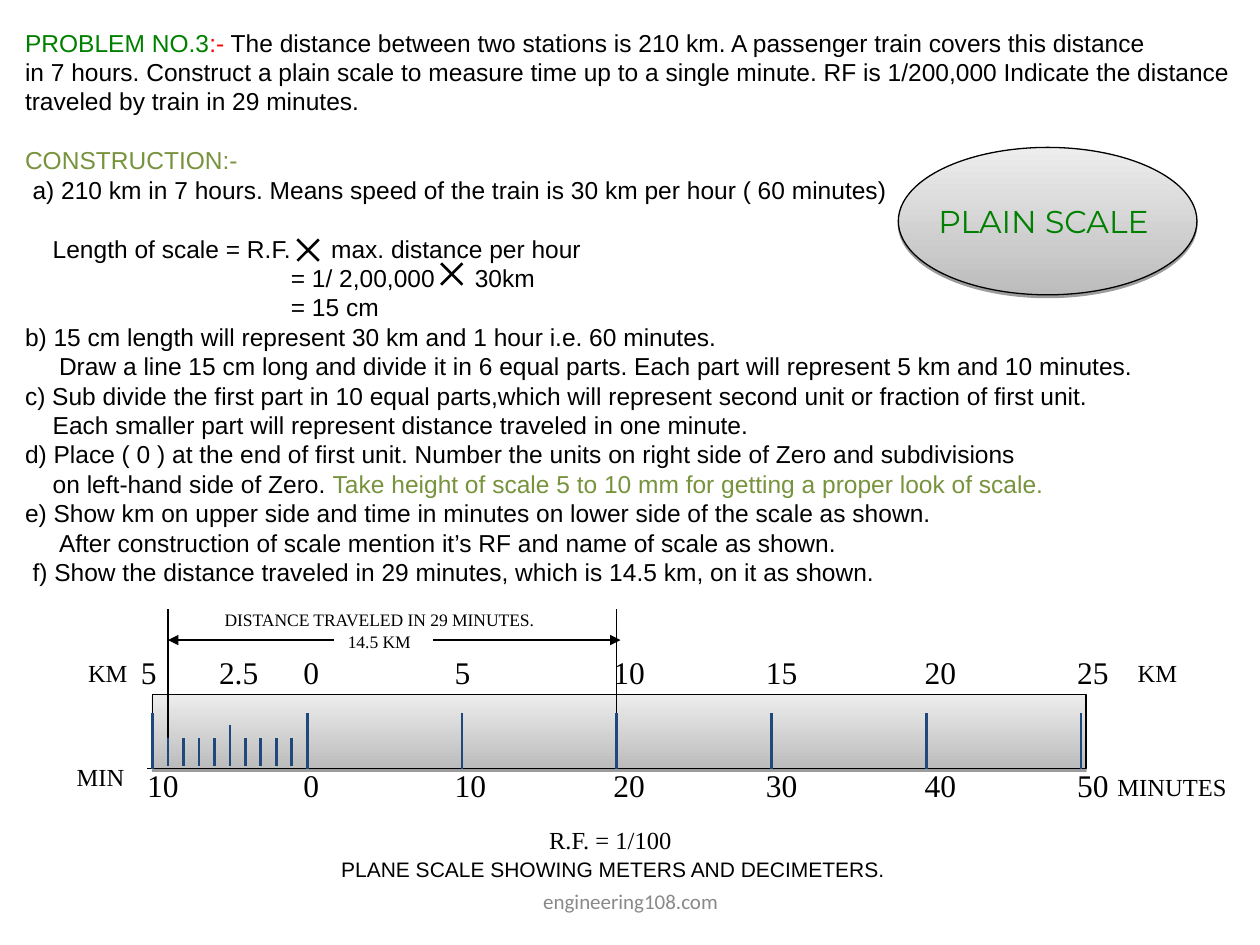
import collections

import pptx
import pptx.dml.color
import pptx.enum.shapes
import pptx.enum.text
import pptx.oxml
import pptx.oxml.ns
import pptx.util
from pptx.util import Inches

Box = collections.namedtuple("Box", "left top width height")
Line = collections.namedtuple("Line", "runs indent gap", defaults=(0, False))

BLACK = pptx.dml.color.RGBColor(0x00, 0x00, 0x00)
GREEN = pptx.dml.color.RGBColor(0x00, 0x80, 0x00)
RED = pptx.dml.color.RGBColor(0xFF, 0x00, 0x00)
OLIVE = pptx.dml.color.RGBColor(0x77, 0x93, 0x3C)
NAVY = pptx.dml.color.RGBColor(0x1F, 0x49, 0x7D)
GREY = pptx.dml.color.RGBColor(0x89, 0x89, 0x89)
SILVER = pptx.dml.color.RGBColor(0xBC, 0xBC, 0xBC)
PALE = pptx.dml.color.RGBColor(0xED, 0xED, 0xED)

SERIF = "Times New Roman"
LEFT = pptx.enum.text.PP_ALIGN.LEFT
CENTER = pptx.enum.text.PP_ALIGN.CENTER
MIDDLE = pptx.enum.text.MSO_ANCHOR.MIDDLE
LINE_PITCH = pptx.util.Pt(16.83)
EQUALS_INDENT = 2.11

PROBLEM_LINES = [
    Line([("PROBLEM NO.3", GREEN), (":-", RED),
          (" The distance between two stations is 210 km. A passenger train covers this distance", BLACK)]),
    Line("in 7 hours. Construct a plain scale to measure time up to a single minute. "
         "RF is 1/200,000 Indicate the distance"),
    Line("traveled by train in 29 minutes."),
    Line([("CONSTRUCTION:-", OLIVE)], gap=True),
    Line("a) 210 km in 7 hours. Means speed of the train is 30 km per hour ( 60 minutes)", 0.06),
    Line("Length of scale = R.F.", 0.22, gap=True),
    Line("= 1/ 2,00,000", EQUALS_INDENT),
    Line("= 15 cm", EQUALS_INDENT),
    Line("b) 15 cm length will represent 30 km and 1 hour i.e. 60 minutes."),
    Line("Draw a line 15 cm long and divide it in 6 equal parts. "
         "Each part will represent 5 km and 10 minutes.", 0.27),
    Line("c) Sub divide the first part in 10 equal parts,which will represent "
         "second unit or fraction of first unit."),
    Line("Each smaller part will represent distance traveled in one minute.", 0.22),
    Line("d) Place ( 0 ) at the end of first unit. "
         "Number the units on right side of Zero and subdivisions"),
    Line([("on left-hand side of Zero. ", BLACK),
          ("Take height of scale 5 to 10 mm for getting a proper look of scale.", OLIVE)], 0.22),
    Line("e) Show km on upper side and time in minutes on lower side of the scale as shown."),
    Line("After construction of scale mention it’s RF and name of scale as shown.", 0.27),
    Line("f) Show the distance traveled in 29 minutes, which is 14.5 km, on it as shown.", 0.06),
]


def set_font(paragraph, size, name, color):
    paragraph.font.size = pptx.util.Pt(size)
    paragraph.font.name = name
    paragraph.font.color.rgb = color


def add_line(slide, x1, y1, x2, y2, color=BLACK, width=0.75, arrow=False):
    connector = slide.shapes.add_connector(
        pptx.enum.shapes.MSO_CONNECTOR.STRAIGHT, Inches(x1), Inches(y1), Inches(x2), Inches(y2))
    connector.line.color.rgb = color
    connector.line.width = pptx.util.Pt(width)
    properties = connector.element.spPr
    if arrow:
        head = pptx.oxml.parse_xml(f'<a:tailEnd {pptx.oxml.ns.nsdecls("a")} type="triangle"/>')
        properties.find(pptx.oxml.ns.qn("a:ln")).append(head)
    properties.append(pptx.oxml.parse_xml(f'<a:effectLst {pptx.oxml.ns.nsdecls("a")}/>'))


def add_text(slide, box, lines, size, name=SERIF, color=BLACK, align=LEFT, pitch=None):
    frame = slide.shapes.add_textbox(*map(Inches, box)).text_frame
    frame.word_wrap = True
    frame.text = lines
    for paragraph in frame.paragraphs:
        paragraph.alignment = align
        paragraph.line_spacing = pitch
        set_font(paragraph, size, name, color)
    return frame


def add_shaded_shape(slide, kind, box):
    """Grey gradient shape with a thin outline and a hard shadow below."""
    shape = slide.shapes.add_shape(kind, *map(Inches, box))
    shape.fill.gradient()
    shape.fill.gradient_angle = 90
    for stop, color in zip(shape.fill.gradient_stops, (SILVER, PALE)):
        stop.color.rgb = color
    shape.line.color.rgb = BLACK
    shape.line.width = pptx.util.Pt(0.75)
    shape.shadow.inherit = False
    effects = shape.element.spPr.find(pptx.oxml.ns.qn("a:effectLst"))
    effects.append(pptx.oxml.parse_xml(
        f'<a:outerShdw {pptx.oxml.ns.nsdecls("a")} blurRad="0" dist="20320" dir="5400000" '
        'rotWithShape="0"><a:srgbClr val="000000"><a:alpha val="38000"/></a:srgbClr></a:outerShdw>'))
    return shape


def add_problem(slide, box):
    frame = slide.shapes.add_textbox(*map(Inches, box)).text_frame
    frame.word_wrap = True
    for index, line in enumerate(PROBLEM_LINES):
        paragraph = frame.add_paragraph() if index else frame.paragraphs[0]
        properties = paragraph._p.get_or_add_pPr()
        properties.set("marL", str(Inches(line.indent)))
        properties.set("indent", "0")
        paragraph.line_spacing = LINE_PITCH
        if line.gap:
            paragraph.space_before = LINE_PITCH
        set_font(paragraph, 14, "Arial", BLACK)
        if isinstance(line.runs, str):
            paragraph.add_run().text = line.runs
            continue
        for text, color in line.runs:
            run = paragraph.add_run()
            run.text = text
            run.font.color.rgb = color

    # Multiplication crosses and the second factors of the formula lines
    size = 0.17
    factors = (("max. distance per hour", 7, 2.26, 1.73, 2.43), ("30km", 8, 3.4, 1.92, 3.57))
    for text, row, cross_left, cross_top, text_left in factors:
        x, y = box.left + cross_left, box.top + cross_top
        add_line(slide, x, y, x + size, y + size, width=1.5)
        add_line(slide, x + size, y, x, y + size, width=1.5)
        add_text(slide, Box(box.left + text_left, box.top + row * LINE_PITCH.inches, 2.4, 0.33),
                 text, 14, "Arial", pitch=LINE_PITCH)


def add_badge(slide, box):
    shape = add_shaded_shape(slide, pptx.enum.shapes.MSO_SHAPE.OVAL, box)
    frame = shape.text_frame
    frame.word_wrap = False
    frame.vertical_anchor = MIDDLE
    frame.text = "PLAIN SCALE "
    frame.paragraphs[0].alignment = CENTER
    set_font(frame.paragraphs[0], 18, "Montserrat", GREEN)


def add_scale(slide, box):
    """Bar with its ticks, the labels around it and the distance marked above."""
    left, top = box.left, box.top
    bottom = top + box.height
    unit = 7.37 / 6
    minute = unit / 10
    add_shaded_shape(slide, pptx.enum.shapes.MSO_SHAPE.RECTANGLE, box)
    add_line(slide, left - 0.04, bottom, left + 6 * unit, bottom)

    # Leaders and arrows of the marked distance
    start, end = left + minute, left + 3 * unit
    arrow_y = top - 0.43
    add_line(slide, start, top + 0.41, start, top - 0.68)
    add_line(slide, end, top + 0.24, end, top - 0.68)
    add_line(slide, left + 1.44, arrow_y, start, arrow_y, arrow=True)
    add_line(slide, left + 2.23, arrow_y, end + 0.03, arrow_y, arrow=True)
    add_text(slide, Box(left + 0.44, top - 0.73, 2.72, 0.44),
             "DISTANCE TRAVELED IN 29 MINUTES.\n14.5 KM", 10, align=CENTER, pitch=pptx.util.Pt(12.5))

    # Units, then minutes of the first unit with a taller middle one
    for index in range(7):
        x = left + index * unit
        add_line(slide, x, top + 0.15, x, bottom, NAVY, 1.5)
    for index in range(1, 10):
        x = left + index * minute
        add_line(slide, x, top + (0.24 if index == 5 else 0.35), x, bottom - 0.02, NAVY, 1.5)

    # Kilometres above and minutes below
    offsets = (-0.14, 1.1, 2.3, 3.56, 4.77, 6.03, 7.24)
    for index, offset in enumerate(offsets):
        x = left + offset
        add_text(slide, Box(x, bottom - 0.07, 0.57, 0.4), str(abs(index - 1) * 10), 18)
        if index:
            add_text(slide, Box(x, top - 0.38, 0.57, 0.4), str((index - 1) * 5), 18)
    add_text(slide, Box(left - 0.19, top - 0.38, 0.57, 0.4), "5", 18)
    add_text(slide, Box(left + 0.43, top - 0.38, 0.57, 0.4), "2.5", 18)
    for text, x, y in (("KM", left - 0.61, top - 0.34), ("KM", left + 7.72, top - 0.34),
                       ("MIN", left - 0.7, bottom - 0.1), ("MINUTES", left + 7.56, bottom - 0.02)):
        add_text(slide, Box(x, y, 1.15, 0.34), text, 14)


def add_captions(slide, box):
    add_text(slide, Box(box.left + 1.65, box.top, 1.4, 0.34), "R.F. = 1/100", 14)
    add_text(slide, Box(box.left, box.top + 0.25, box.width, 0.3),
             "PLANE SCALE SHOWING METERS AND DECIMETERS.", 12, "Arial")
    footer = add_text(slide, Box(box.left + 0.81, box.top + 0.45, 3.17, 0.4),
                      "engineering108.com", 12, "Calibri", GREY, CENTER)
    footer.vertical_anchor = MIDDLE


def main():
    presentation = pptx.Presentation()
    presentation.slide_width = Inches(10)
    presentation.slide_height = Inches(7.5)
    slide = presentation.slides.add_slide(presentation.slide_layouts[6])
    add_problem(slide, Box(0.1, 0.17, 9.85, 4.54))
    add_scale(slide, Box(1.21, 5.51, 7.41, 0.59))
    add_captions(slide, Box(2.61, 6.5, 4.6, 0.85))
    add_badge(slide, Box(7.13, 1.17, 2.37, 1.17))
    presentation.save("out.pptx")


if __name__ == "__main__":
    main()
